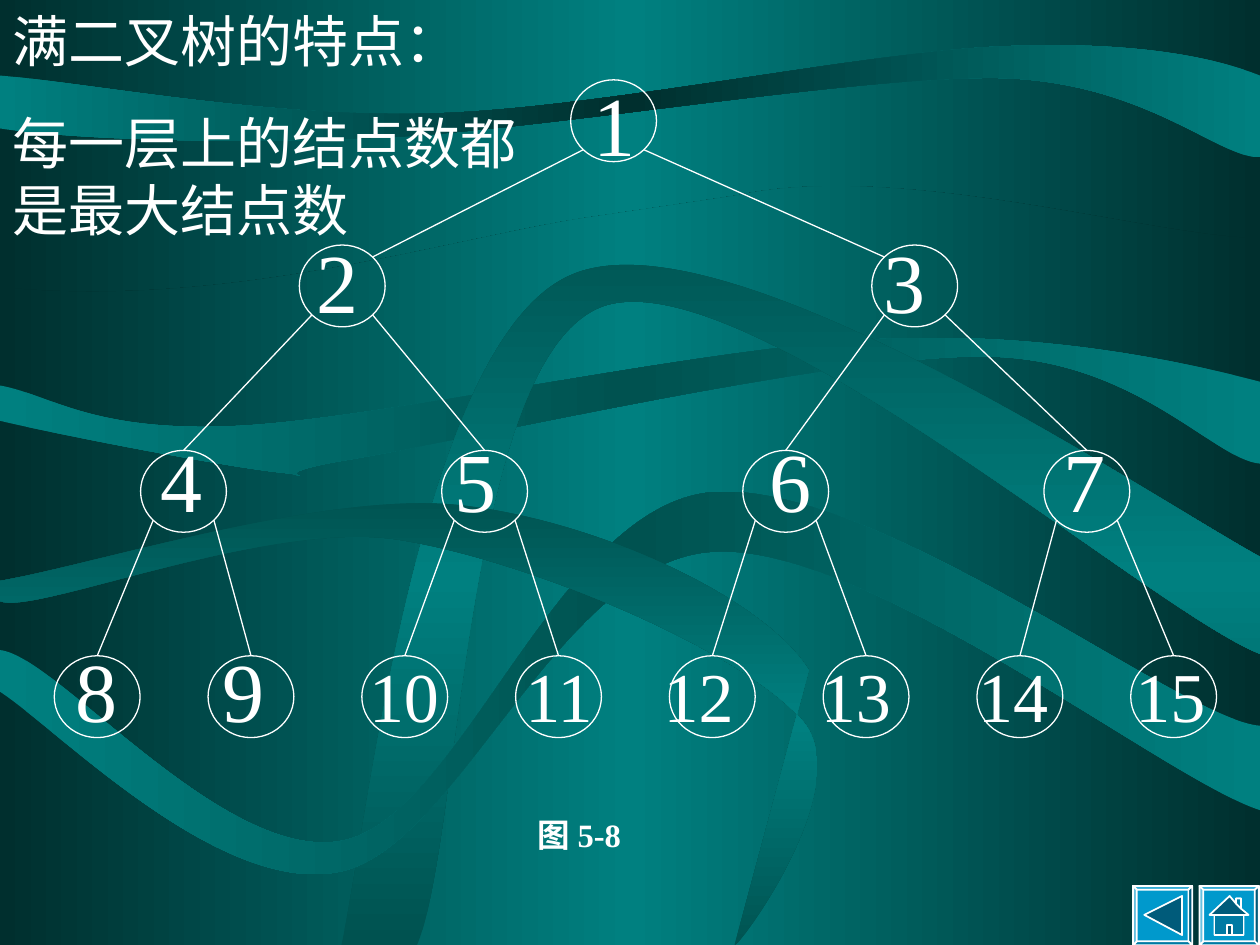
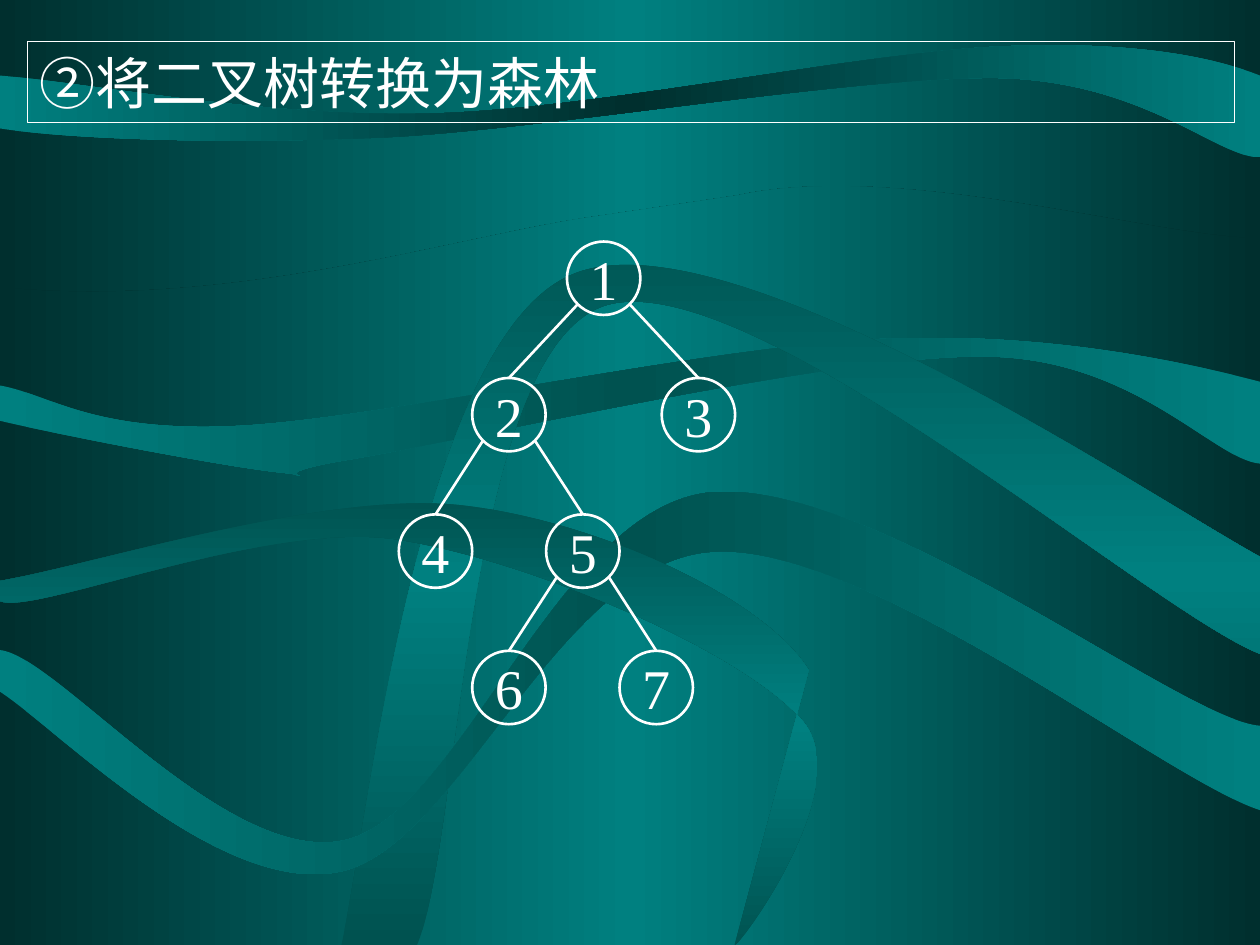
from copy import deepcopy
from dataclasses import dataclass

from lxml.etree import SubElement
from pptx import Presentation
from pptx.dml.color import RGBColor
from pptx.enum.shapes import MSO_CONNECTOR, MSO_SHAPE
from pptx.enum.text import MSO_ANCHOR, PP_ALIGN
from pptx.oxml.ns import qn
from pptx.util import Cm, Pt


@dataclass(frozen=True)
class Theme:
    font: str = "Times New Roman"
    white: RGBColor = RGBColor.from_string("FFFFFF")
    dark: RGBColor = RGBColor.from_string("002F2E")
    deep: RGBColor = RGBColor.from_string("005250")
    teal: RGBColor = RGBColor.from_string("008080")
    button: RGBColor = RGBColor.from_string("0099CC")
    big_label: float = 48
    leaf_label: float = 40
    body: float = 32
    caption: float = 18.6
    thin: float = 0.75
    medium: float = 1
    thick: float = 1.5


THEME = Theme()
SLIDE_W, SLIDE_H = 25.4, 19.05
GRID = SLIDE_W / 1000  # outlines are plotted on a grid 1000 units wide
DIAGONAL = 0.354  # share of a circle's size from its centre to a 45° point

# Each ribbon: edge colour, middle colour, angle, start, then lines (2) and curves (6)
RIBBONS = [
    (THEME.dark, THEME.teal, 0, (0, 228), [
        (178, 245, 340, 194, 458, 174), (458, 174, 567, 158, 586, 155),
        (715, 127, 917, 189, 1000, 189), (1000, 750), (0, 750), (0, 750, 0, 228, 0, 228)]),
    (THEME.teal, THEME.dark, 0, (0, 60), [
        (0, 102), (51, 110, 176, 115, 308, 109), (440, 102, 679, 60, 794, 62),
        (909, 65, 966, 125, 1000, 125), (1000, 60), (965, 46, 901, 32, 792, 37),
        (682, 42, 477, 86, 345, 90), (213, 94, 72, 66, 0, 60)]),
    (THEME.teal, THEME.deep, 0, (0, 306), [
        (0, 334), (37, 343, 175, 370, 222, 375), (269, 380, 190, 379, 282, 364),
        (375, 348, 660, 282, 780, 283), (900, 283, 963, 365, 1000, 368), (1000, 303),
        (950, 290, 836, 263, 701, 269), (566, 274, 307, 332, 190, 338),
        (73, 344, 40, 313, 0, 306)]),
    (THEME.deep, THEME.teal, 90, (271, 750), [
        (291, 661, 332, 269, 454, 218), (575, 166, 909, 392, 1000, 442), (1000, 519),
        (913, 485, 591, 205, 479, 243), (368, 282, 366, 666, 331, 750), (271, 750)]),
    (THEME.teal, THEME.deep, 0, (0, 516), [
        (0, 549), (45, 578, 174, 711, 269, 692), (363, 674, 443, 446, 565, 438),
        (687, 429, 927, 620, 1000, 643), (1000, 576), (938, 572, 691, 377, 562, 391),
        (441, 406, 367, 646, 273, 667), (179, 687, 45, 520, 0, 516)]),
    (THEME.deep, THEME.teal, 90, (0, 461), [
        (0, 477), (26, 489, 208, 413, 314, 428), (420, 444, 592, 518, 637, 572),
        (682, 625, 582, 757, 583, 750), (642, 532), (606, 474, 473, 413, 366, 401),
        (259, 389, 76, 448, 0, 461)]),
]

# Button outlines: shade and corners, on the same grid
BEVEL = [
    ("norm", [(0, 0), (47, 0), (47, 47), (0, 47)]),
    ("lightenLess", [(0, 0), (47, 0), (44, 3), (3, 3)]),
    ("darken", [(47, 0), (47, 47), (44, 44), (44, 3)]),
    ("darkenLess", [(47, 47), (0, 47), (3, 44), (44, 44)]),
    ("lighten", [(0, 47), (0, 0), (3, 3), (3, 44)]),
]
HOUSE = [
    ("darken", [(24, 8), (29, 14), (29, 10), (33, 10), (33, 18), (39, 23), (35, 23),
                (35, 39), (12, 39), (12, 23), (8, 23)]),
    ("darkenLess", [(29, 14), (29, 10), (33, 10), (33, 18)]),
    ("darkenLess", [(22, 31), (26, 31), (26, 39), (35, 39), (35, 23), (12, 23),
                    (12, 39), (22, 39)]),
]
BACK_ARROW = [("darken", [(9, 23), (39, 8), (39, 39)])]


def write_text(frame, paragraphs, size=THEME.body, bold=False, align=PP_ALIGN.LEFT,
               anchor=MSO_ANCHOR.TOP, wrap=True, gap=0, spacing=None, tabs=()):
    """Fill a text frame; a paragraph is a string or a list of (string, size)."""
    frame.word_wrap = wrap
    frame.vertical_anchor = anchor
    frame.margin_left = frame.margin_right = Cm(0.25)
    frame.margin_top = frame.margin_bottom = Cm(0.13)
    for index, content in enumerate(paragraphs):
        paragraph = frame.add_paragraph() if index else frame.paragraphs[0]
        paragraph.alignment = align
        if index and gap:
            paragraph.space_before = Pt(gap)
        if spacing:
            paragraph.line_spacing = spacing
        if tabs:
            stops = SubElement(paragraph._p.get_or_add_pPr(), qn("a:tabLst"))
            for position in tabs:
                SubElement(stops, qn("a:tab"), pos=str(Cm(position)), algn="l")
        for words, points in [(content, size)] if isinstance(content, str) else content:
            run = paragraph.add_run()
            run.text = words
            run.font.name = THEME.font
            run.font.size = Pt(points)
            run.font.bold = bold
            run.font.color.rgb = THEME.white


def add_text(slide, box, paragraphs, **form):
    area = slide.shapes.add_textbox(*map(Cm, box))
    write_text(area.text_frame, paragraphs, **form)


def draw_line(line, weight):
    line.color.rgb = THEME.white
    line.width = Pt(weight)


def add_outline(slide, kind, box, weight):
    shape = slide.shapes.add_shape(kind, *map(Cm, box))
    shape.shadow.inherit = False
    shape.fill.background()
    draw_line(shape.line, weight)
    return shape


def add_freeform(slide, contours, left=0, top=0):
    """Draw closed contours of grid points; return the shape and its path."""
    placed = [[(Cm(left + x * GRID), Cm(top + y * GRID)) for x, y in contour]
              for contour in contours]
    builder = slide.shapes.build_freeform(*placed[0][0])
    for index, (first, *rest) in enumerate(placed):
        if index:
            builder.move_to(*first)
        builder.add_line_segments(rest, close=True)
    shape = builder.convert_to_shape()
    shape.shadow.inherit = False
    return shape, next(shape.element.iter(qn("a:path")))


def set_gradient(fill, owner, edge, middle, angle):
    """Give a three-stop gradient with equal ends."""
    fill.gradient()
    fill.gradient_angle = angle
    stop_list = next(owner.iter(qn("a:gsLst")))
    stop_list.append(deepcopy(stop_list[0]))
    for stop, place, colour in zip(fill.gradient_stops, (0, 0.5, 1), (edge, middle, edge)):
        stop.position = place
        stop.color.rgb = colour


def bend(path, pieces):
    """Join the three segments of each curved piece into one Bézier curve."""
    segments = iter(path.findall(qn("a:lnTo")))
    for piece in pieces:
        parts = [next(segments) for _ in range(len(piece) // 2)]
        if len(parts) == 3:
            curve = path.makeelement(qn("a:cubicBezTo"))
            parts[0].addprevious(curve)
            for part in parts:
                curve.append(part[0])
                path.remove(part)


def add_backdrop(master, slide):
    """Draw the ribbons on a slide, then move them to the master."""
    set_gradient(master.background.fill, master.element, THEME.dark, THEME.teal, 0)
    for number, (edge, middle, angle, start, pieces) in enumerate(RIBBONS):
        points = [start] + [piece[i:i + 2] for piece in pieces
                            for i in range(0, len(piece), 2)]
        ribbon, path = add_freeform(slide, [points])
        bend(path, pieces)
        ribbon.line.fill.background()
        set_gradient(ribbon.fill, ribbon.element, edge, middle, angle)
        ribbon.element.nvSpPr.cNvPr.set("id", str(100 + number))
        master.shapes._spTree.append(ribbon.element)


def add_button(slide, left, top, symbol):
    layers = BEVEL + symbol
    button, path = add_freeform(slide, [corners for _, corners in layers], left, top)
    button.fill.solid()
    button.fill.fore_color.rgb = THEME.button
    draw_line(button.line, THEME.medium)
    # One path for each shade
    shades = iter(shade for shade, _ in layers)
    path_list = path.getparent()
    for step in list(path):
        if step.tag == qn("a:moveTo"):
            layer = SubElement(path_list, qn("a:path"), w=path.get("w"), h=path.get("h"),
                               fill=next(shades))
        layer.append(step)
    path_list.remove(path)


def add_edge(slide, start, end, weight):
    edge = slide.shapes.add_connector(MSO_CONNECTOR.STRAIGHT, *map(Cm, start + end))
    draw_line(edge.line, weight)
    SubElement(edge._element.spPr, qn("a:effectLst"))


def add_tree(slide, origin, nodes, edges, size, weight, labelled=False):
    """Draw a tree; nodes map a number to its centre x and its top."""
    left, top = origin
    width, height = size
    for number, (x, y) in nodes.items():
        box = (left + x - width / 2, top + y, width, height)
        circle = add_outline(slide, MSO_SHAPE.OVAL, box, weight)
        if labelled:
            write_text(circle.text_frame, [str(number)], align=PP_ALIGN.CENTER,
                       anchor=MSO_ANCHOR.MIDDLE, wrap=False)
    for parent, child in edges:
        (px, py), (cx, cy) = nodes[parent], nodes[child]
        side = 1 if cx > px else -1
        start = (left + px + side * DIAGONAL * width, top + py + (0.5 + DIAGONAL) * height)
        end = (left + cx, top + cy)
        if abs(cx - px) > cy - py:  # a flat edge meets the child's shoulder
            end = (end[0] - side * DIAGONAL * width, end[1] + (0.5 - DIAGONAL) * height)
        add_edge(slide, start, end, weight)


def add_full_tree(slide, origin):
    # Number rows: offset, size, content, line spacing, tab stops
    leaves = [("\t8\t9", THEME.big_label), ("\t10\t11\t12\t13\t14\t15", THEME.leaf_label)]
    rows = [
        (10.62, -0.27, 4.75, 4.11, "1", None, ()),
        (-0.25, 11.53, 24.4, 2.06, leaves, 0.8,
         (0.44, 3.39, 6.35, 9.5, 12.29, 15.46, 18.63, 21.8)),
        (1.89, 7.29, 21.5, 2.06, "4\t5\t6\t7", 0.8, (5.93, 12.28, 18.2)),
        (5.05, 3.28, 15, 2.06, "2\t3", 0.8, (11.43,)),
    ]
    for x, y, width, height, numbers, spacing, tabs in rows:
        add_text(slide, (origin[0] + x, origin[1] + y, width, height), [numbers],
                 size=THEME.big_label, spacing=spacing, tabs=tabs)

    # Levels: top, first centre, step between centres
    levels = [(0, 11.28, 0), (3.33, 5.81, 11.54), (7.47, 2.61, 6.07), (11.61, 0.87, 3.1)]
    nodes = {2 ** depth + k: (first + k * step, top)
             for depth, (top, first, step) in enumerate(levels) for k in range(2 ** depth)}
    edges = [(number // 2, number) for number in nodes if number > 1]
    add_tree(slide, origin, nodes, edges, (1.73, 1.65), THEME.thin)


def build_full_tree_slide(slide):
    add_text(slide, (10.59, 16.29, 2.74, 1.07), ["图 5-8"], size=THEME.caption, bold=True)
    add_full_tree(slide, (1.09, 1.61))
    # Navigation buttons
    add_button(slide, 24.18, 17.86, HOUSE)
    add_button(slide, 22.84, 17.86, BACK_ARROW)
    add_text(slide, (0, 0, 10.8, 5.03),
             ["满二叉树的特点：", "每一层上的结点数都是最大结点数"], gap=20)


def build_forest_slide(slide):
    # Heading
    heading = add_outline(slide, MSO_SHAPE.RECTANGLE, (0.55, 0.84, 24.34, 1.63), THEME.thin)
    write_text(heading.text_frame, ["②将二叉树转换为森林"])
    # Binary tree: centre and level of each node
    level_step = 2.75
    places = {1: (4.12, 0), 2: (2.21, 1), 3: (6.03, 1), 4: (0.73, 2),
              5: (3.7, 2), 6: (2.21, 3), 7: (5.18, 3)}
    nodes = {number: (x, level * level_step) for number, (x, level) in places.items()}
    edges = [(1, 2), (1, 3), (2, 4), (2, 5), (5, 6), (5, 7)]
    add_tree(slide, (8.05, 4.87), nodes, edges, (1.48, 1.48), THEME.thick, labelled=True)


def main():
    deck = Presentation()
    deck.slide_width, deck.slide_height = Cm(SLIDE_W), Cm(SLIDE_H)
    blank = deck.slide_layouts[6]
    tree_slide, forest_slide = (deck.slides.add_slide(blank) for _ in range(2))
    add_backdrop(deck.slide_master, tree_slide)
    build_full_tree_slide(tree_slide)
    build_forest_slide(forest_slide)
    deck.save("out.pptx")


if __name__ == "__main__":
    main()
